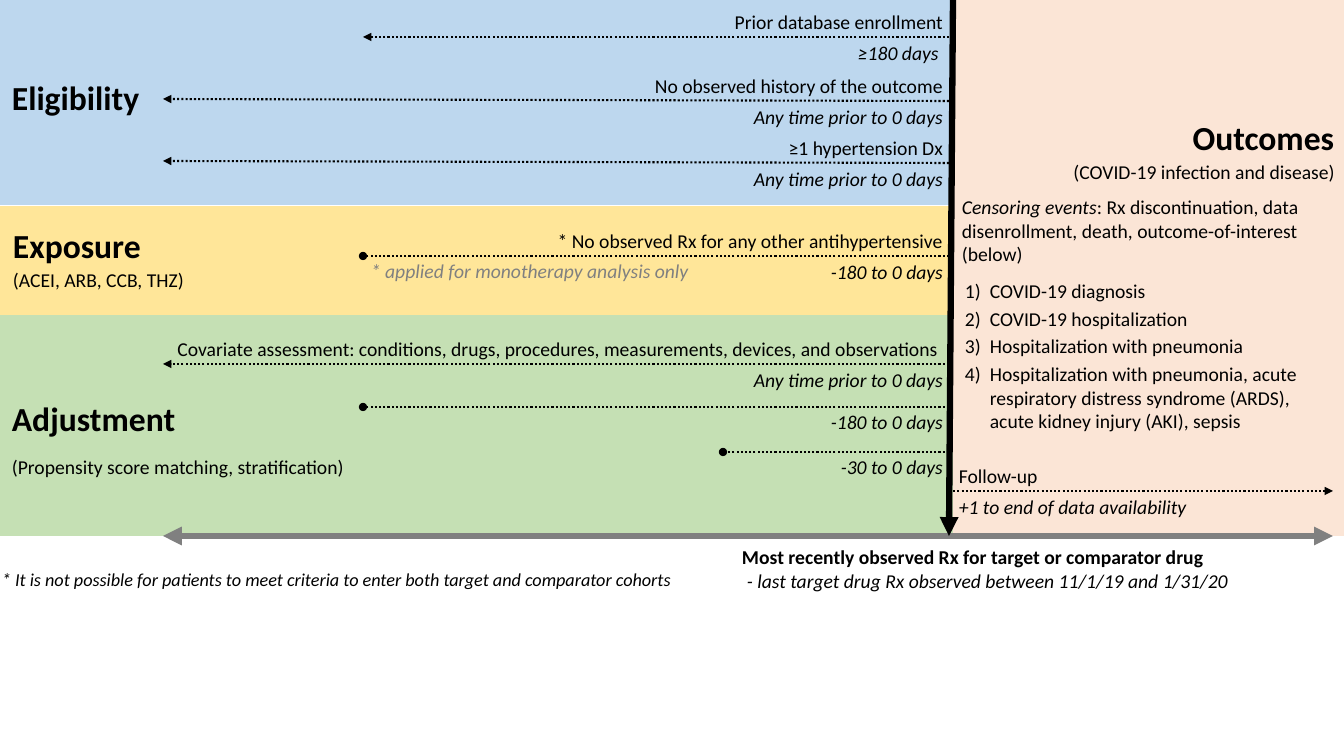
from pptx import Presentation
from pptx.dml.color import RGBColor
from pptx.enum.dml import MSO_LINE
from pptx.enum.shapes import MSO_CONNECTOR, MSO_SHAPE
from pptx.enum.text import PP_ALIGN
from pptx.oxml.ns import qn
from pptx.util import Pt
from lxml.etree import SubElement

BLACK = RGBColor(0x00, 0x00, 0x00)
GRAY = RGBColor(0x80, 0x80, 0x80)
BLUE = RGBColor(0xBD, 0xD7, 0xEE)
YELLOW = RGBColor(0xFF, 0xE6, 0x99)
GREEN = RGBColor(0xC5, 0xE0, 0xB4)
PEACH = RGBColor(0xFB, 0xE5, 0xD6)

PLAIN = {}
ITALIC = {"italic": True}
BOLD = {"bold": True}
HEADING = {"bold": True, "size": Pt(24)}
RIGHT = {"alignment": PP_ALIGN.RIGHT}
GAP = {"space_before": Pt(5)}

WIDTH, HEIGHT = 1344, 756
INDEX_DATE = 949
TEXT_EDGE = 953
TIMELINE = 536
ANY_TIME, HALF_YEAR, MONTH = 163, 363, 723


def emu(pixels):
    """Turn pixels into EMU."""
    return round(pixels * 914400 / 100.8)


class Canvas:
    """Hold the text style and the current slide."""

    def __init__(self, presentation):
        """Add a blank slide."""
        self.slide = presentation.slides.add_slide(presentation.slide_layouts[6])
        self.font = {"name": "Calibri", "size": Pt(14)}

    def band(self, left, top, right, bottom, color):
        """Draw a filled rectangle without an outline."""
        shape = self.slide.shapes.add_shape(
            MSO_SHAPE.RECTANGLE, emu(left), emu(top), emu(right - left), emu(bottom - top))
        shape.shadow.inherit = False
        shape.fill.solid()
        shape.fill.fore_color.rgb = color
        shape.line.fill.background()

    def arrow(self, start, end, color=BLACK, weight=1.5, dotted=True, head=None, tail="triangle"):
        """Draw a line with the given end marks."""
        connector = self.slide.shapes.add_connector(
            MSO_CONNECTOR.STRAIGHT, *map(emu, start), *map(emu, end))
        connector.line.color.rgb = color
        connector.line.width = Pt(weight)
        if dotted:
            connector.line.dash_style = MSO_LINE.ROUND_DOT
        outline = connector.line._get_or_add_ln()
        for tag, mark in (("a:headEnd", head), ("a:tailEnd", tail)):
            if mark:
                SubElement(outline, qn(tag), type=mark)
        SubElement(connector._element.spPr, qn("a:effectLst"))

    def text(self, left, top, width, height, *paragraphs, color=BLACK):
        """Add a text box of (layout, runs) paragraphs."""
        box = self.slide.shapes.add_textbox(emu(left), emu(top), emu(width), emu(height))
        frame = box.text_frame
        frame.word_wrap = True
        for index, (layout, runs) in enumerate(paragraphs):
            paragraph = frame.add_paragraph() if index else frame.paragraphs[0]
            for key, value in layout.items():
                setattr(paragraph, key, value)
            for words, style in runs:
                run = paragraph.add_run()
                run.text = words
                for key, value in {**self.font, **style}.items():
                    setattr(run.font, key, value)
                run.font.color.rgb = color
        return frame.paragraphs

    def line(self, left, top, width, height, words, style=PLAIN, layout=PLAIN, color=BLACK):
        """Add a text box with one run."""
        return self.text(left, top, width, height, (layout, [(words, style)]), color=color)

    def indent(self, paragraph, margin, hanging=0):
        """Set the left margin and the hanging indent."""
        properties = paragraph._p.get_or_add_pPr()
        properties.set("marL", str(emu(margin)))
        properties.set("indent", str(-emu(hanging)))
        return properties

    def numbered(self, left, top, width, height, items):
        """Add a numbered list."""
        layout = {"space_after": Pt(3)}
        paragraphs = [(layout, [(item, PLAIN)]) for item in items]
        for paragraph in self.text(left, top, width, height, *paragraphs):
            properties = self.indent(paragraph, 25, 25)
            SubElement(properties, qn("a:buAutoNum"), type="arabicParenR")

    def period(self, left, line_y, width, above, below, layout):
        """Label a dotted line above and below."""
        self.text(left, line_y - 32, width, 64,
                  (layout, [(above, PLAIN)]), ({**layout, **GAP}, [(below, ITALIC)]))


presentation = Presentation()
presentation.slide_width, presentation.slide_height = emu(WIDTH), emu(HEIGHT)
canvas = Canvas(presentation)

canvas.band(950, 0, WIDTH, TIMELINE, PEACH)
for top, bottom, color in ((315, TIMELINE, GREEN), (206, 315, YELLOW), (0, 205, BLUE)):
    canvas.band(0, top, TEXT_EDGE, bottom, color)
canvas.arrow((ANY_TIME, TIMELINE), (1333, TIMELINE), GRAY, 4.5, False, "triangle")
canvas.arrow((TEXT_EDGE, 0), (INDEX_DATE, TIMELINE), weight=4.5, dotted=False)

windows = [
    (37, 37, HALF_YEAR, "triangle", 363, "Prior database enrollment", "≥180 days "),
    (101, 99, ANY_TIME, "triangle", 363, "No observed history of the outcome",
     "Any time prior to 0 days"),
    (163, 161, ANY_TIME, "triangle", 163, "≥1 hypertension Dx", "Any time prior to 0 days"),
    (256, 256, HALF_YEAR, "oval", 466, "* No observed Rx for any other antihypertensive",
     "-180 to 0 days"),
    (364, 364, ANY_TIME, "triangle", 135,
     "Covariate assessment: conditions, drugs, procedures, measurements, devices, "
     "and observations ", "Any time prior to 0 days"),
    (407, 407, HALF_YEAR, "oval", 368, None, "-180 to 0 days"),
    (452, 452, MONTH, "oval", 773, None, "-30 to 0 days"),
]
for start_y, end_y, end_x, mark, left, above, below in windows:
    canvas.arrow((INDEX_DATE, start_y), (end_x, end_y), tail=mark)
    if above:
        canvas.period(left, start_y, TEXT_EDGE - left, above, below, RIGHT)
    else:
        canvas.line(left, start_y - 2, TEXT_EDGE - left, 34, below, ITALIC, RIGHT)
canvas.arrow((INDEX_DATE, 491), (1333, 491))
canvas.period(949, 491, 302, "Follow-up", "+1 to end of data availability", PLAIN)
canvas.line(361, 254, 383, 34, "* applied for monotherapy analysis only", ITALIC, color=GRAY)

sections = [
    (2, 72, 153, "Eligibility", None, None),
    (3, 220, 156, "Exposure", 263, "(ACEI, ARB, CCB, THZ)"),
    (2, 393, 261, "Adjustment", 450, "(Propensity score matching, stratification)"),
]
for left, top, width, heading, detail_top, detail in sections:
    canvas.line(left, top, width, 50, heading, HEADING)
    if detail:
        canvas.line(left, detail_top, 359, 34, detail)

canvas.line(1056, 112, 288, 50, "Outcomes", HEADING, RIGHT)
canvas.line(960, 155, 385, 34, "(COVID-19 infection and disease)", layout=RIGHT)
canvas.text(952, 190, 392, 105, (PLAIN, [
    ("Censoring events", ITALIC),
    (": Rx discontinuation, data disenrollment, death, outcome-of-interest (below)", PLAIN)]))
canvas.numbered(955, 274, 387, 165, [
    "COVID-19 diagnosis",
    "COVID-19 hospitalization",
    "Hospitalization with pneumonia",
    "Hospitalization with pneumonia, acute respiratory distress syndrome (ARDS), "
    "acute kidney injury (AKI), sepsis",
])

index_note = canvas.text(
    728, 540, 550, 58,
    (PLAIN, [("Most recently observed Rx for target or comparator drug", BOLD)]),
    (PLAIN, [("- last target drug Rx observed between 11/1/19 and 1/31/20", ITALIC)]))
for paragraph, margin in zip(index_note, (4, 9)):
    canvas.indent(paragraph, margin)
canvas.line(-8, 563, 890, 32,
            "* It is not possible for patients to meet criteria to enter both target "
            "and comparator cohorts", {"italic": True, "size": Pt(13)})

presentation.save("out.pptx")
